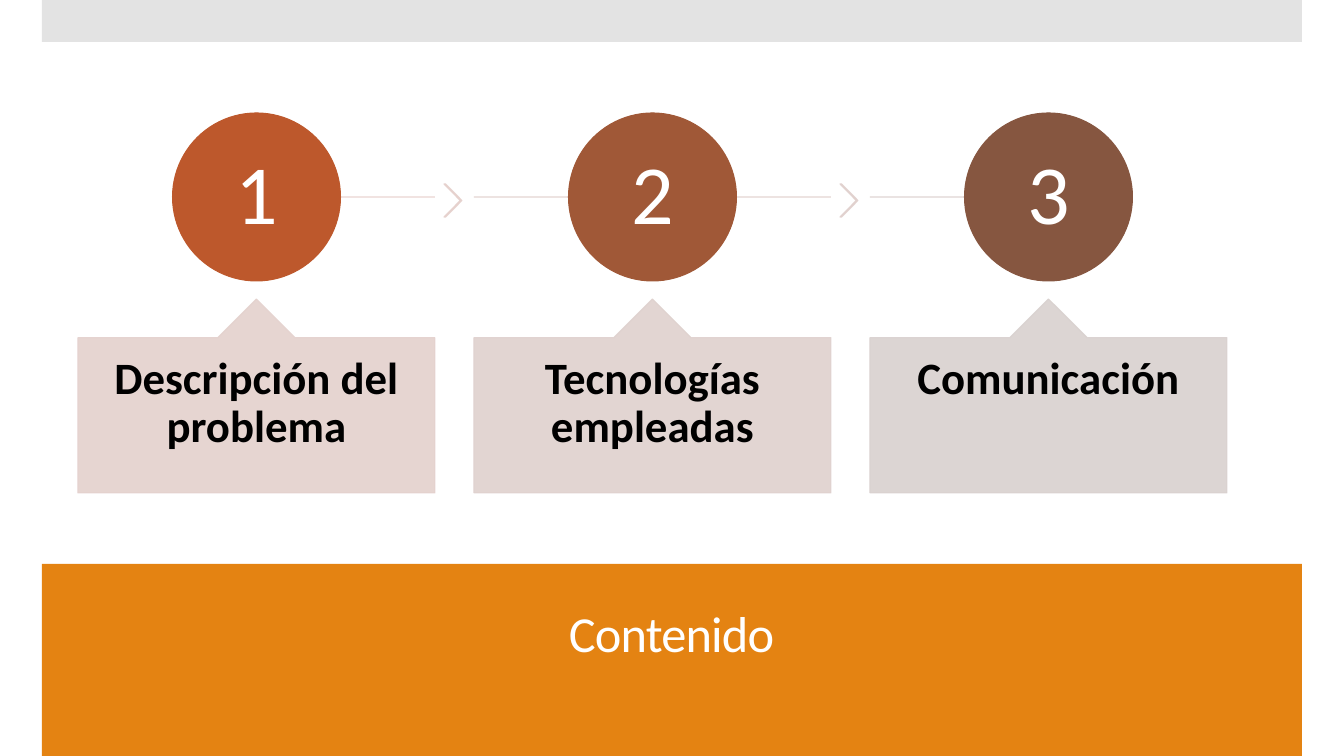
import pptx
import pptx.util
import pptx.dml.color
import pptx.enum.shapes
import pptx.enum.text
import pptx.oxml
import pptx.oxml.ns

# Content: number, label, circle, callout, line and chevron colours
STEPS = [
    ("1", "Descripción del problema", "BD582C", "E4D1CD", "E8D1CD", "E6D1CD"),
    ("2", "Tecnologías empleadas", "A05837", "DFD1CE", "E3D1CD", "E1D1CE"),
    ("3", "Comunicación", "865640", "D9D1CF", "DDD1CE", None),
]
TITLE = "Contenido"

# Layout in px
SLIDE_WIDTH, SLIDE_HEIGHT = 1344, 756
BAND_LEFT, BAND_WIDTH = 42, 1260
FIRST_LEFT, PITCH, BOX_WIDTH = 78, 396, 357
CIRCLE_TOP, CIRCLE_SIZE = 113, 168
CALLOUT_TOP, CALLOUT_HEIGHT = 299, 194
CHEVRON_TOP, CHEVRON_WIDTH, CHEVRON_HEIGHT, CHEVRON_GAP = 184, 18, 33, 9
EMU_PER_PX = 12192000 / SLIDE_WIDTH

SHAPE = pptx.enum.shapes.MSO_SHAPE
ANCHOR = pptx.enum.text.MSO_ANCHOR


def px(length):
    return pptx.util.Emu(round(length * EMU_PER_PX))


def paint(color_format, color, opacity=100):
    color_format.rgb = pptx.dml.color.RGBColor.from_string(color)
    if opacity < 100:
        for element in color_format._xFill.iter(pptx.oxml.ns.qn("a:srgbClr")):
            alpha = pptx.oxml.parse_xml(
                f'<a:alpha {pptx.oxml.ns.nsdecls("a")} val="{opacity * 1000}"/>')
            element.append(alpha)


def add_shape(kind, box, color, opacity=100, outlined=True, adjustments=()):
    shape = slide.shapes.add_shape(kind, *map(px, box))
    shape.shadow.inherit = False
    for index, value in enumerate(adjustments):
        shape.adjustments[index] = value
    shape.fill.solid()
    paint(shape.fill.fore_color, color, opacity)
    if outlined:
        shape.line.width = pptx.util.Pt(0.75)
        shape.line.fill.solid()
        paint(shape.line.color, color, opacity)
    else:
        shape.line.fill.background()
    return shape


def write(shape, text, color, size, anchor, inset_x, inset_y, bold=False):
    frame = shape.text_frame
    frame_format = {
        "word_wrap": True, "vertical_anchor": anchor,
        "margin_left": px(inset_x), "margin_right": px(inset_x),
        "margin_top": px(inset_y), "margin_bottom": px(inset_y),
    }
    for name, value in frame_format.items():
        setattr(frame, name, value)
    paragraph = frame.paragraphs[0]
    paragraph.alignment = pptx.enum.text.PP_ALIGN.CENTER
    paragraph.line_spacing = 0.9
    run = paragraph.add_run()
    run.text = text
    font_format = {"name": "Calibri", "size": pptx.util.Pt(size), "bold": bold}
    for name, value in font_format.items():
        setattr(run.font, name, value)
    paint(run.font.color, color)
    return run


def add_line(start, end, y, color):
    line = slide.shapes.add_connector(
        pptx.enum.shapes.MSO_CONNECTOR.STRAIGHT, px(start), px(y), px(end), px(y))
    line.line.width = pptx.util.Pt(0.75)
    line.line.fill.solid()
    paint(line.line.color, color, 90)
    line._element.spPr.append(
        pptx.oxml.parse_xml(f'<a:effectLst {pptx.oxml.ns.nsdecls("a")}/>'))


presentation = pptx.Presentation()
presentation.slide_width = px(SLIDE_WIDTH)
presentation.slide_height = px(SLIDE_HEIGHT)
slide = presentation.slides.add_slide(presentation.slide_layouts[6])

# Bands and title
add_shape(SHAPE.RECTANGLE, (BAND_LEFT, 564, BAND_WIDTH, 192), "E48312", outlined=False)
add_shape(SHAPE.RECTANGLE, (BAND_LEFT, 0, BAND_WIDTH, 42), "C8C8C8", 50, outlined=False)
title = slide.shapes.add_textbox(*map(px, (70, 580, 1203, 113)))
title_run = write(title, TITLE, "FFFFFF", 36, ANCHOR.MIDDLE, 10, 5)
title_run.font._element.set("spc", "-60")

# Steps
for index, (number, label, circle_color, box_color, line_color, chevron_color) in enumerate(STEPS):
    left = FIRST_LEFT + index * PITCH
    right = left + BOX_WIDTH
    center = left + BOX_WIDTH / 2

    # Line runs behind the circle, stopping there at both ends of the sequence
    add_line(center if index == 0 else left,
             center if index == len(STEPS) - 1 else right,
             CIRCLE_TOP + CIRCLE_SIZE / 2, line_color)
    if chevron_color:
        add_shape(SHAPE.CHEVRON,
                  (right + CHEVRON_GAP, CHEVRON_TOP, CHEVRON_WIDTH, CHEVRON_HEIGHT),
                  chevron_color, 90, adjustments=(0.9,))

    circle = add_shape(SHAPE.OVAL, (center - CIRCLE_SIZE / 2, CIRCLE_TOP, CIRCLE_SIZE, CIRCLE_SIZE),
                       circle_color)
    write(circle, number, "FFFFFF", 60, ANCHOR.MIDDLE, 6, 6)

    callout = add_shape(SHAPE.UP_ARROW_CALLOUT, (left, CALLOUT_TOP, BOX_WIDTH, CALLOUT_HEIGHT),
                        box_color, 90, adjustments=(0.4, 0.2, 0.2, 0.8))
    write(callout, label, "000000", 32, ANCHOR.TOP, 28, 18, bold=True)

presentation.save("out.pptx")
